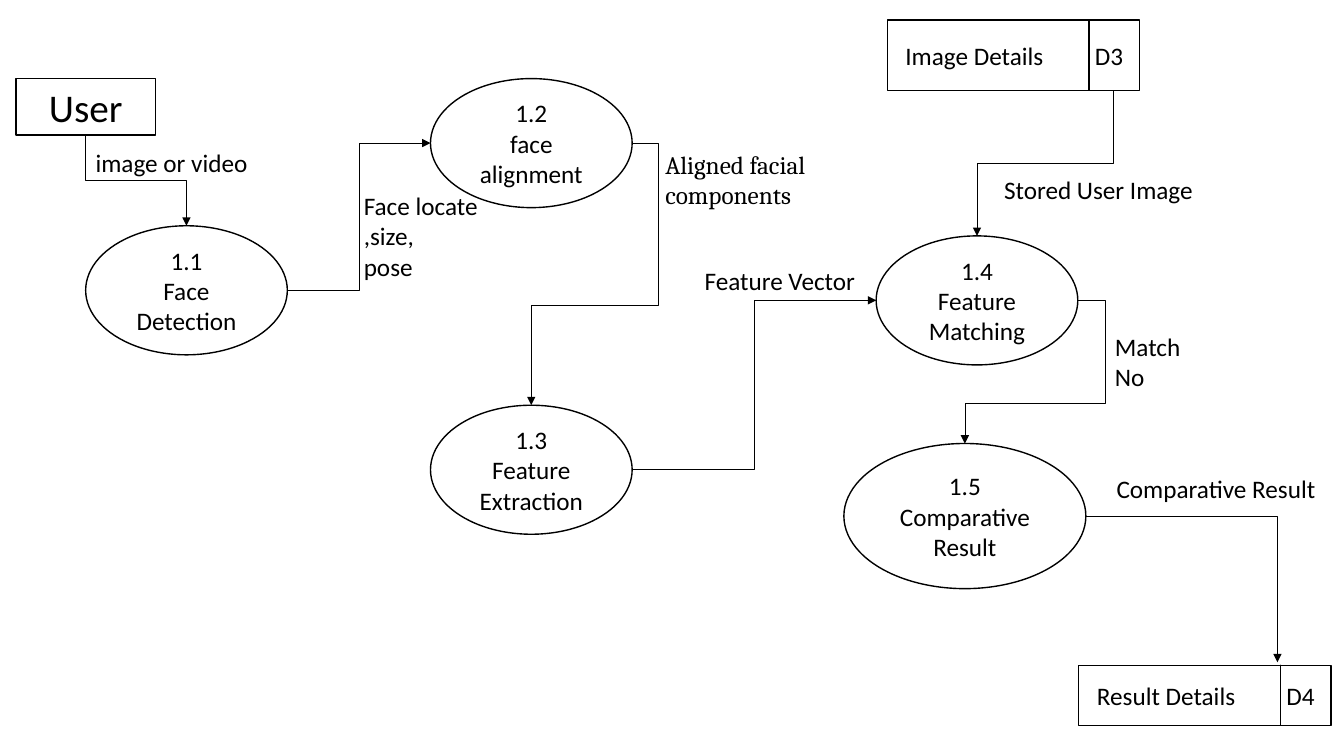
from dataclasses import dataclass

from lxml import etree
from pptx import Presentation
from pptx.dml.color import RGBColor
from pptx.enum.shapes import MSO_CONNECTOR, MSO_SHAPE
from pptx.enum.text import MSO_ANCHOR, PP_ALIGN
from pptx.oxml.ns import qn
from pptx.util import Inches, Pt

ELBOW = MSO_CONNECTOR.ELBOW
OVAL, RECTANGLE = MSO_SHAPE.OVAL, MSO_SHAPE.RECTANGLE
LEFT, CENTER = PP_ALIGN.LEFT, PP_ALIGN.CENTER
MIDDLE = MSO_ANCHOR.MIDDLE

COLORS = {"paper": "FFFFFF", "ink": "000000"}
SLIDE_WIDTH, SLIDE_HEIGHT = Inches(13.33), Inches(7.5)
ROWS = 75
CELL = SLIDE_HEIGHT / ROWS  # square grid cell, used for columns and rows
Point = tuple[float, float]

# Data store outline in cells; the inner edge is drawn down and back up
STORE_OUTLINE = [(0, 0), (25.2, 0), (25.3, 6.5), (19.9, 6.5), (19.8, 0),
                 (19.9, 6.5), (0.3, 6.5), (0.4, 0)]
STORE_INSET, STORE_TAB = 1.8, 18.8


@dataclass
class Node:
    lines: list[str]
    x: float  # centre column
    y: float  # centre row
    width: float = 20
    height: float = 12.8
    outline: int = OVAL
    size: int = 18

    def side(self, dx: int, dy: int) -> Point:
        return self.x + dx * self.width / 2, self.y + dy * self.height / 2


@dataclass
class Store:
    name: str
    code: str
    left: float
    top: float

    def corner(self, index: int) -> Point:
        dx, dy = STORE_OUTLINE[index]
        return self.left + dx, self.top + dy


@dataclass
class Flow:
    start: Point
    end: Point
    bends: tuple[float, ...] = (0.5,)  # shares of the span where it turns
    downward: bool = False  # leaves its start vertically


@dataclass
class Label:
    lines: list[str]
    left: float
    top: float
    width: float
    height: float = 4
    wrap: bool = False
    font: str = "Calibri"
    align: int = LEFT


def cells(count: float) -> int:
    return round(count * CELL)


def color(name: str) -> RGBColor:
    return RGBColor.from_string(COLORS[name])


def write(frame, lines: list[str], size: int = 18, font: str = "Calibri",
          align: int = CENTER) -> None:
    for index, line in enumerate(lines):
        paragraph = frame.paragraphs[0] if index == 0 else frame.add_paragraph()
        paragraph.alignment = align
        run = paragraph.add_run()
        run.text = line
        run.font.size, run.font.name = Pt(size), font
        run.font.color.rgb = color("ink")


def outline(shape) -> None:
    shape.shadow.inherit = False
    shape.fill.solid()
    shape.fill.fore_color.rgb = color("paper")
    shape.line.color.rgb = color("ink")
    shape.line.width = Pt(1)
    shape.text_frame.vertical_anchor = MIDDLE


def draw_node(shapes, node: Node) -> None:
    left, top = node.side(-1, -1)
    shape = shapes.add_shape(node.outline, cells(left), cells(top),
                             cells(node.width), cells(node.height))
    outline(shape)
    shape.text_frame.word_wrap = True
    write(shape.text_frame, node.lines, node.size)


def draw_store(shapes, store: Store) -> None:
    corners = [store.corner(index) for index in range(len(STORE_OUTLINE))]
    builder = shapes.build_freeform(*corners[0], scale=CELL)
    builder.add_line_segments(corners[1:], close=True)
    shape = builder.convert_to_shape()
    outline(shape)
    frame = shape.text_frame
    frame.margin_left, frame.margin_right = cells(STORE_INSET), 0
    write(frame, [f"{store.name}\t{store.code}"], align=LEFT)
    # Tab stop that places the code in its own compartment
    tabs = etree.SubElement(frame.paragraphs[0]._p.get_or_add_pPr(), qn("a:tabLst"))
    etree.SubElement(tabs, qn("a:tab"), pos=str(cells(STORE_TAB)), algn="l")


def draw_flow(shapes, flow: Flow) -> None:
    (x1, y1), (x2, y2) = flow.start, flow.end
    if flow.downward:  # a quarter turn swaps the spans around the centre
        mid_x, mid_y = (x1 + x2) / 2, (y1 + y2) / 2
        half_w, half_h = (y2 - y1) / 2, (x2 - x1) / 2
        x1, x2 = mid_x + half_w, mid_x - half_w
        y1, y2 = mid_y - half_h, mid_y + half_h
    arrow = shapes.add_connector(ELBOW, cells(x1), cells(y1), cells(x2), cells(y2))
    arrow.line.color.rgb = color("ink")
    arrow.line.width = Pt(0.5)
    properties = arrow._element.spPr
    if flow.downward:
        properties.find(qn("a:xfrm")).set("rot", str(270 * 60000))
    # Turning points
    geometry = properties.find(qn("a:prstGeom"))
    geometry.set("prst", f"bentConnector{len(flow.bends) + 2}")
    guides = geometry.find(qn("a:avLst"))
    for number, share in enumerate(flow.bends, 1):
        etree.SubElement(guides, qn("a:gd"), name=f"adj{number}",
                         fmla=f"val {round(share * 100000)}")
    # Arrowhead, no shadow
    etree.SubElement(properties.find(qn("a:ln")), qn("a:tailEnd"), type="triangle")
    etree.SubElement(properties, qn("a:effectLst"))


def draw_label(shapes, label: Label) -> None:
    box = shapes.add_textbox(cells(label.left), cells(label.top),
                             cells(label.width), cells(label.height))
    box.text_frame.word_wrap = label.wrap
    write(box.text_frame, label.lines, font=label.font, align=label.align)


def main() -> None:
    presentation = Presentation()
    presentation.slide_width, presentation.slide_height = SLIDE_WIDTH, SLIDE_HEIGHT
    shapes = presentation.slides.add_slide(presentation.slide_layouts[6]).shapes

    # Processes, user and data stores
    user = Node(["User"], 8.5, 10.6, 13.8, 5.6, RECTANGLE, 28)
    detection = Node(["1.1", "Face Detection"], 18.5, 28.8)
    alignment = Node(["1.2", "face alignment"], 52.7, 14.2)
    extraction = Node(["1.3", "Feature Extraction"], 52.7, 46.6)
    matching = Node(["1.4", "Feature Matching"], 96.9, 29.8)
    comparison = Node(["1.5", "Comparative Result"], 95.7, 51.2, 24, 14.4)
    images = Store("Image Details", "D3", 87.8, 2.5)
    results = Store("Result Details", "D4", 106.9, 65.7)

    # Data flows
    flows = [
        Flow(user.side(0, 1), detection.side(0, -1), downward=True),
        Flow(detection.side(1, 0), alignment.side(-1, 0)),
        Flow(alignment.side(1, 0), extraction.side(0, -1), (-0.26, 0.62)),
        Flow(extraction.side(1, 0), matching.side(-1, 0)),
        Flow(matching.side(1, 0), comparison.side(0, -1), (-0.24, 0.72)),
        Flow(images.corner(3), matching.side(0, -1), (-0.25, 0.5)),
        Flow(comparison.side(1, 0), results.corner(4), (1,)),
    ]
    labels = [
        Label(["image or video"], 8.5, 14.1, 18.2),
        Label(["Face locate", ",size,", "pose"], 35.1, 18.4, 14.6, 10.1, True),
        Label(["Aligned facial components"], 65, 14.3, 23.9, 7.1, True, "Cambria"),
        Label(["Feature Vector"], 68.9, 25.8, 18.1),
        Label(["Stored User Image"], 98.6, 16.8, 22.1),
        Label(["Match No"], 109.6, 32.4, 9.9),
        Label(["Comparative Result"], 109, 46.5, 23.2, align=CENTER),
    ]

    for node in (detection, comparison, matching, extraction, alignment, user):
        draw_node(shapes, node)
    for store in (images, results):
        draw_store(shapes, store)
    for flow in flows:
        draw_flow(shapes, flow)
    for label in labels:
        draw_label(shapes, label)
    presentation.save("out.pptx")


if __name__ == "__main__":
    main()
